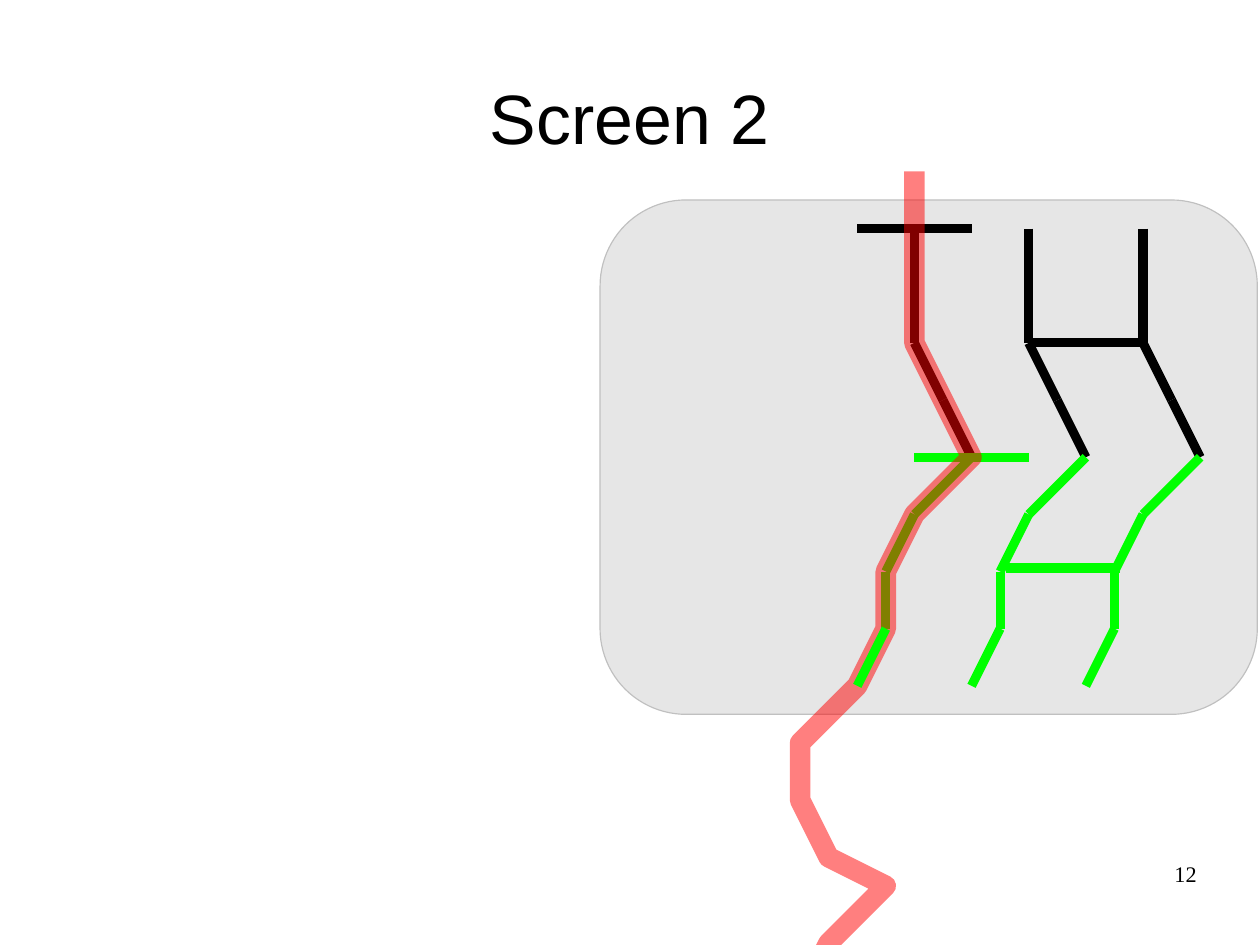
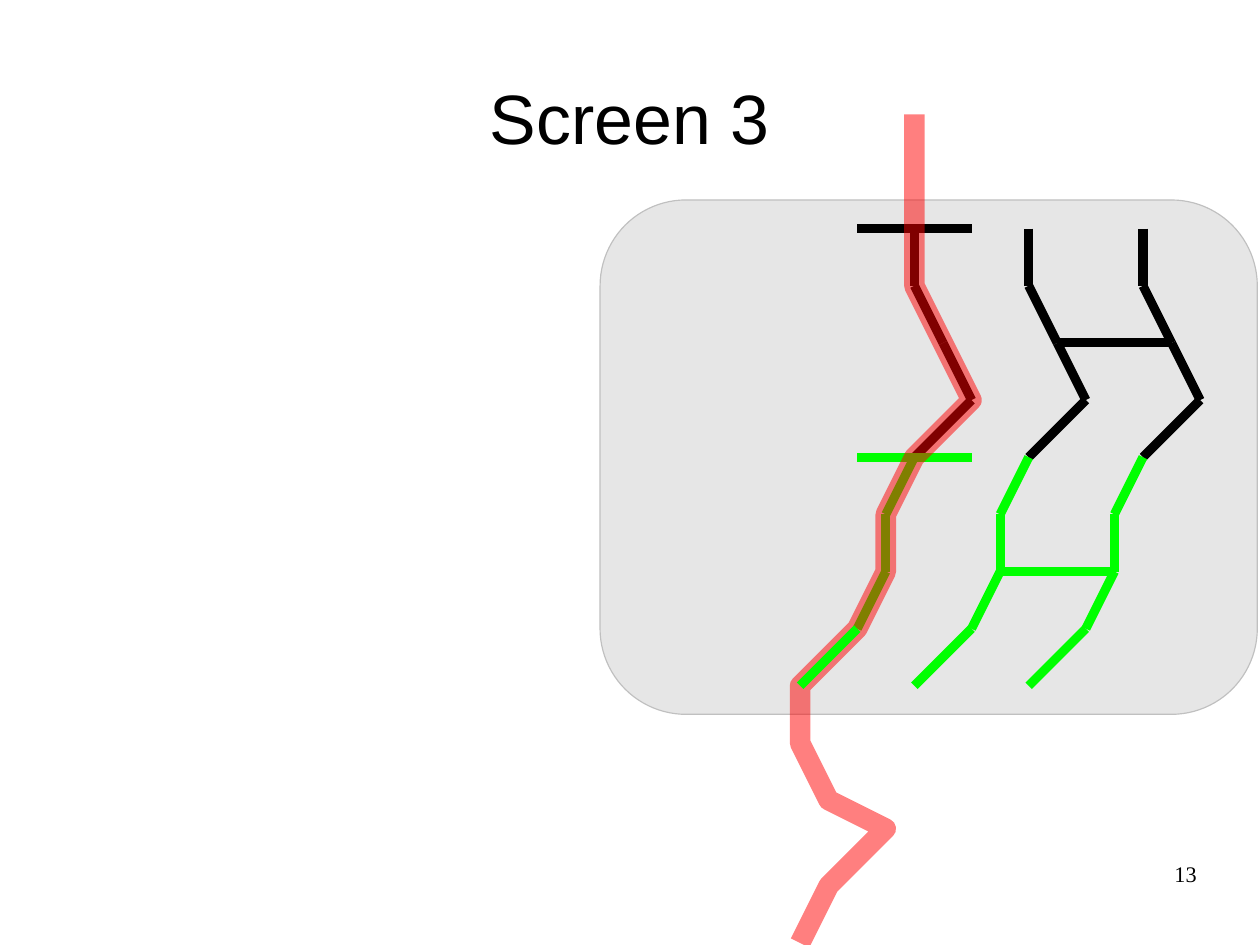
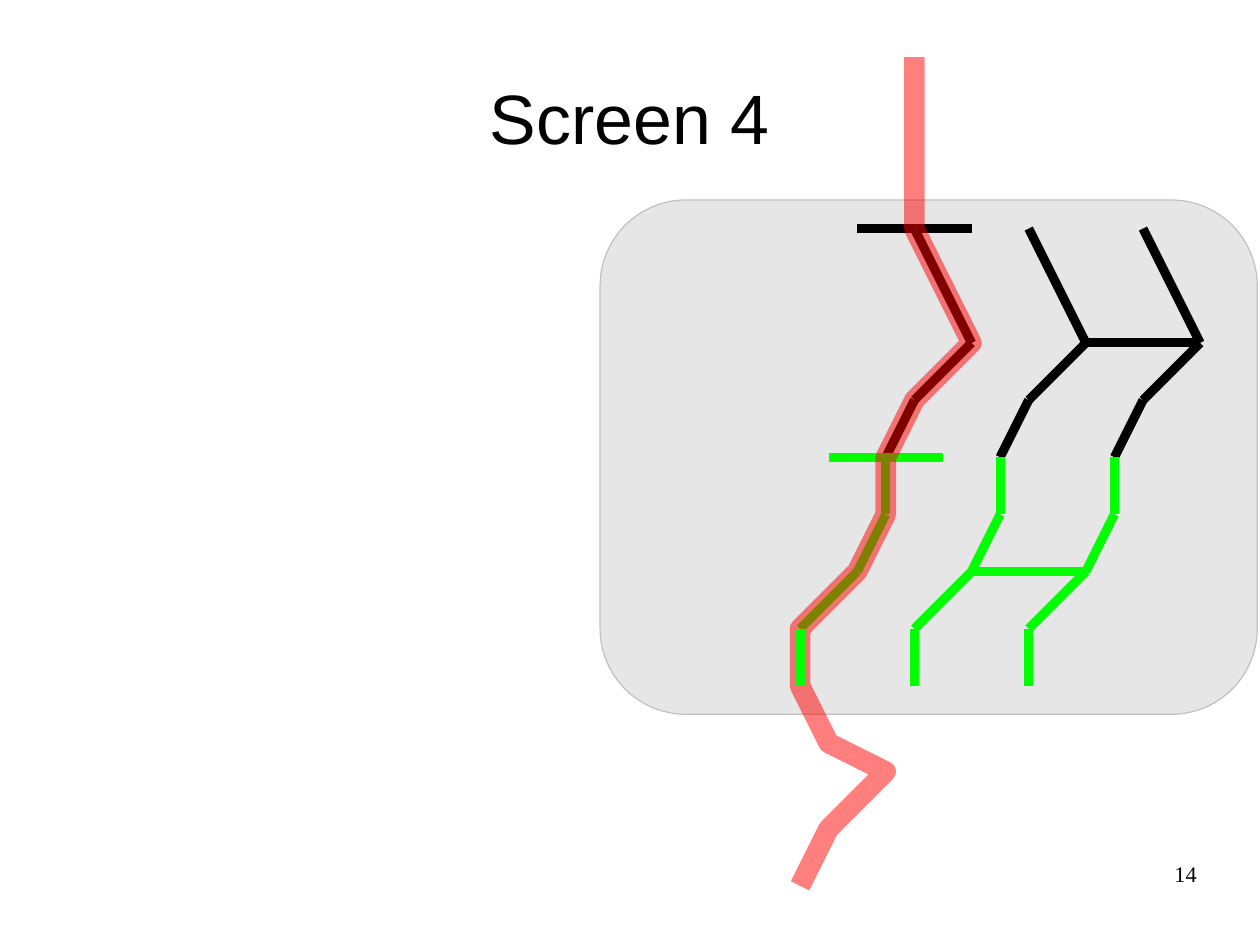
from pptx import Presentation
from pptx.dml.color import RGBColor
from pptx.enum.shapes import MSO_CONNECTOR, MSO_SHAPE
from pptx.enum.text import MSO_ANCHOR, MSO_AUTO_SIZE, PP_ALIGN
from pptx.oxml.ns import qn
from pptx.util import Cm, Pt
from lxml import etree

STRAIGHT = MSO_CONNECTOR.STRAIGHT
ROUNDED = MSO_SHAPE.ROUNDED_RECTANGLE
TOP, MIDDLE = MSO_ANCHOR.TOP, MSO_ANCHOR.MIDDLE
CENTER, RIGHT = PP_ALIGN.CENTER, PP_ALIGN.RIGHT
NO_AUTOFIT = MSO_AUTO_SIZE.NONE

BLACK = RGBColor(0x00, 0x00, 0x00)
GREEN = RGBColor(0x00, 0xFF, 0x00)
RED = RGBColor(0xFF, 0x00, 0x00)
PANEL_FILL = RGBColor(0xE6, 0xE6, 0xE6)
PANEL_EDGE = RGBColor(0xC0, 0xC0, 0xC0)

PX = 9144
SLIDE_WIDTH, SLIDE_HEIGHT = Cm(28), Cm(21)
PANEL_AREA = (525, 175, 575, 450)
TITLE_AREA = (55, 33, 992, 138)
NUMBER_AREA = (790, 753, 257, 57)

SCREENS = [
    {"title": "Screen 2", "number": "12", "rung_nudge": (5, -3)},
    {"title": "Screen 3", "number": "13", "rung_nudge": (0, 0)},
    {"title": "Screen 4", "number": "14", "rung_nudge": (0, 0)},
]
RUNG_NUDGE_NONE = (0, 0)
COURSE = [
    (800, 150), (800, 200), (800, 250), (800, 300), (825, 350), (850, 400),
    (800, 450), (775, 500), (775, 550), (750, 600), (700, 650), (700, 700),
    (725, 750), (775, 775), (725, 825), (700, 875),
]
SCROLL = 50
LANE_GAP = 100
LANES = (0, 1, 2)
VIEW_TOP, VIEW_BOTTOM = 200, 600
HALVES = [(BLACK, VIEW_TOP), (GREEN, 400)]
HALF_HEIGHT = 200
TRACK_WIDTH, COURSE_WIDTH = Pt(5.75), Pt(12.95)


def emu(lengths):
    return [length * PX for length in lengths]


def write_text(box, text, area, font, size, align, anchor):
    box.left, box.top, box.width, box.height = emu(area)
    frame = box.text_frame
    frame.text = text
    frame.word_wrap = True
    frame.auto_size = NO_AUTOFIT
    frame.vertical_anchor = anchor
    frame.margin_left = frame.margin_right = 0
    frame.margin_top = frame.margin_bottom = 0
    para = frame.paragraphs[0]
    para.alignment = align
    span = para.runs[0]
    span.font.name = font
    span.font.size = Pt(size)
    span.font.color.rgb = BLACK


def add_panel(page):
    panel = page.shapes.add_shape(ROUNDED, *emu(PANEL_AREA))
    panel.adjustments[0] = 0.167
    panel.shadow.inherit = False
    panel.fill.solid()
    panel.fill.fore_color.rgb = PANEL_FILL
    panel.line.color.rgb = PANEL_EDGE
    panel.line.width = Pt(0)


def add_track(page, start, end, color):
    track = page.shapes.add_connector(STRAIGHT, *emu((*start, *end)))
    track.line.color.rgb = color
    track.line.width = TRACK_WIDTH
    etree.SubElement(track._element.spPr, qn("a:effectLst"))


def add_course(page, points):
    builder = page.shapes.build_freeform(*points[0], scale=PX)
    builder.add_line_segments(points[1:], close=False)
    course = builder.convert_to_shape()
    course.shadow.inherit = False
    course.fill.background()
    course.line.color.rgb = RED
    course.line.width = COURSE_WIDTH
    outline = course.line._ln
    alpha = etree.SubElement(outline.find(".//" + qn("a:srgbClr")), qn("a:alpha"))
    alpha.set("val", "50000")
    etree.SubElement(outline, qn("a:round"))


def add_lanes(page, points, nudge):
    x_at = {y: x for x, y in points}
    segments = [(start, end) for start, end in zip(points, points[1:])
                if start[1] >= VIEW_TOP and end[1] <= VIEW_BOTTOM]
    for color, top in HALVES:
        center = x_at[top]
        add_track(page, (center - 50, top), (center + 50, top), color)
        for lane in LANES:
            shift = lane * LANE_GAP
            for (x1, y1), (x2, y2) in segments:
                if top <= y1 < top + HALF_HEIGHT and (lane or y2 < VIEW_BOTTOM):
                    add_track(page, (x1 + shift, y1), (x2 + shift, y2), color)
        rung_y = top + HALF_HEIGHT // 2
        dx, dy = nudge if color == GREEN else RUNG_NUDGE_NONE
        left = x_at[rung_y] + LANE_GAP + dx
        add_track(page, (left, rung_y + dy), (left + LANE_GAP, rung_y + dy), color)
    add_course(page, points)
    add_track(page, *segments[-1], GREEN)


def main():
    deck = Presentation()
    deck.slide_width, deck.slide_height = SLIDE_WIDTH, SLIDE_HEIGHT
    title_only = deck.slide_layouts[5]
    for step, screen in enumerate(SCREENS):
        page = deck.slides.add_slide(title_only)
        write_text(page.shapes.title, screen["title"], TITLE_AREA,
                   "Arial", 44, CENTER, MIDDLE)
        add_panel(page)
        points = [(x, y - step * SCROLL) for x, y in COURSE]
        add_lanes(page, points, screen["rung_nudge"])
        number = page.shapes.add_textbox(*emu(NUMBER_AREA))
        write_text(number, screen["number"], NUMBER_AREA,
                   "Times New Roman", 14, RIGHT, TOP)
    deck.save("out.pptx")


if __name__ == "__main__":
    main()
